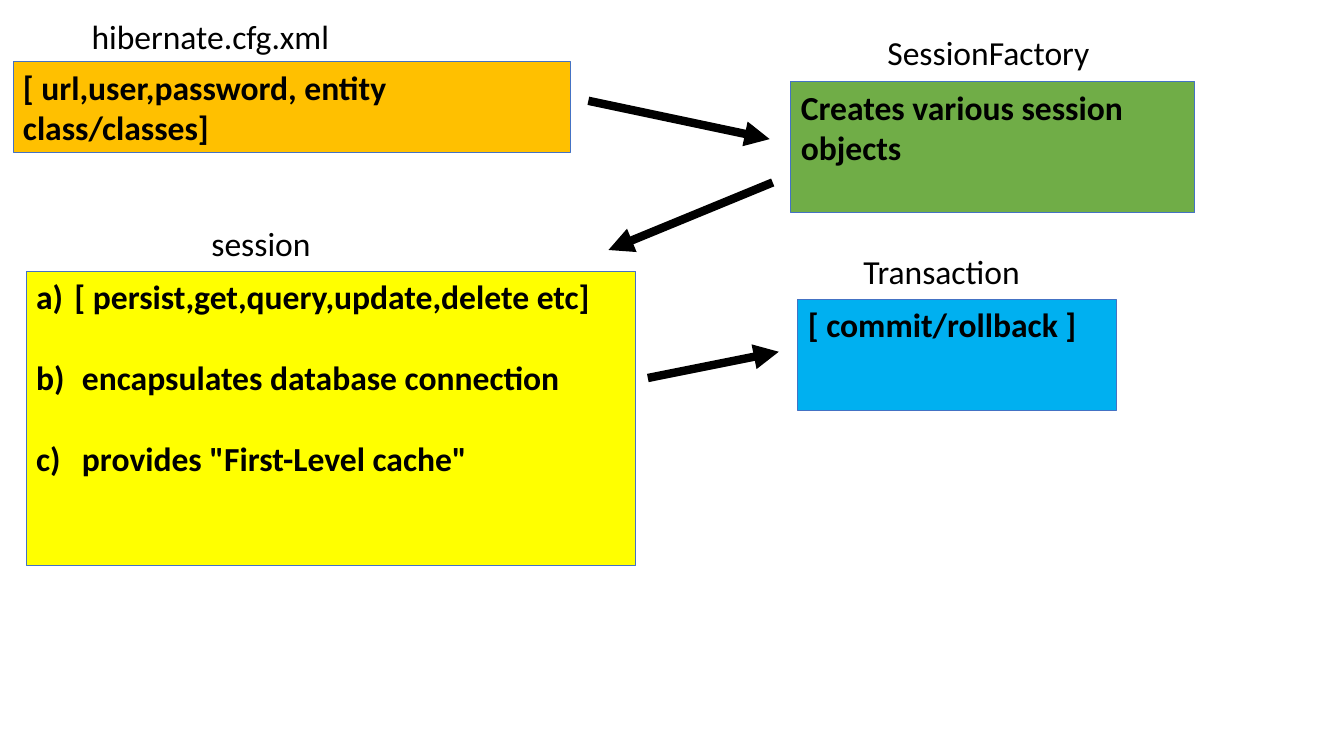
from lxml.etree import SubElement
from pptx import Presentation
from pptx.dml.color import RGBColor
from pptx.enum.shapes import MSO_CONNECTOR, MSO_SHAPE
from pptx.enum.text import MSO_ANCHOR, PP_ALIGN
from pptx.oxml.ns import qn
from pptx.util import Inches, Pt

COLORS = {
    "text": "000000",
    "border": "4472C4",
    "config": "FFC000",
    "factory": "70AD47",
    "session": "FFFF00",
    "transaction": "00B0F0",
}
LABELS = [
    ("hibernate.cfg.xml", (0.81, 0.11, 3.15, 0.5)),
    ("SessionFactory", (8.71, 0.27, 2.77, 0.5)),
    ("session", (2, 2.16, 1.49, 0.5)),
    ("Transaction", (8.47, 2.44, 2.12, 0.5)),
]
BOXES = [
    ("config", (0.13, 0.61, 5.53, 0.9), ["[ url,user,password, entity class/classes]"]),
    ("factory", (7.85, 0.81, 4.01, 1.3), ["Creates various session objects"]),
    ("session", (0.26, 2.69, 6.05, 2.92), [
        "[ persist,get,query,update,delete etc]",
        " encapsulates database connection",
        ' provides "First-Level cache"',
    ]),
    ("transaction", (7.92, 2.97, 3.16, 1.1), ["[ commit/rollback ]"]),
]
ARROWS = [
    ((5.84, 1), (7.64, 1.38)),
    ((7.67, 1.81), (6.04, 2.48)),
    ((6.43, 3.75), (7.73, 3.49)),
]
FONT_SIZE = 24
ITEM_GAP = 29


def color(name):
    return RGBColor.from_string(COLORS[name])


def number_paragraph(paragraph):
    properties = paragraph._p.get_or_add_pPr()
    properties.set("marL", str(Inches(0.38)))
    properties.set("indent", str(-Inches(0.38)))
    SubElement(properties, qn("a:buFont"), typeface="+mj-lt")
    SubElement(properties, qn("a:buAutoNum"), type="alphaLcParenR")


def write(shape, lines, bold):
    frame = shape.text_frame
    frame.word_wrap = True
    frame.vertical_anchor = MSO_ANCHOR.TOP
    for index, line in enumerate(lines):
        paragraph = frame.paragraphs[0] if index == 0 else frame.add_paragraph()
        paragraph.text = line
        if len(lines) > 1:
            number_paragraph(paragraph)
        if index > 0:
            paragraph.space_before = Pt(ITEM_GAP)
        paragraph.alignment = PP_ALIGN.LEFT
        font = paragraph.font
        font.name, font.size, font.bold = "Calibri", Pt(FONT_SIZE), bold
        font.color.rgb = color("text")


def add_box(slide, name, bounds, lines):
    shape = slide.shapes.add_shape(MSO_SHAPE.RECTANGLE, *map(Inches, bounds))
    shape.shadow.inherit = False
    shape.fill.solid()
    shape.fill.fore_color.rgb = color(name)
    shape.line.color.rgb = color("border")
    shape.line.width = Pt(0.75)
    write(shape, lines, True)


def add_arrow(slide, start, end):
    connector = slide.shapes.add_connector(
        MSO_CONNECTOR.STRAIGHT, *map(Inches, start + end))
    connector.line.color.rgb = color("text")
    connector.line.width = Pt(6)
    SubElement(connector.line._get_or_add_ln(), qn("a:tailEnd"), type="triangle")
    SubElement(connector._element.spPr, qn("a:effectLst"))


def main():
    presentation = Presentation()
    presentation.slide_width = Inches(13.34)
    presentation.slide_height = Inches(7.5)
    slide = presentation.slides.add_slide(presentation.slide_layouts[6])
    for box in BOXES:
        add_box(slide, *box)
    for text, bounds in LABELS:
        write(slide.shapes.add_textbox(*map(Inches, bounds)), [text], False)
    for start, end in ARROWS:
        add_arrow(slide, start, end)
    presentation.save("out.pptx")


if __name__ == "__main__":
    main()
